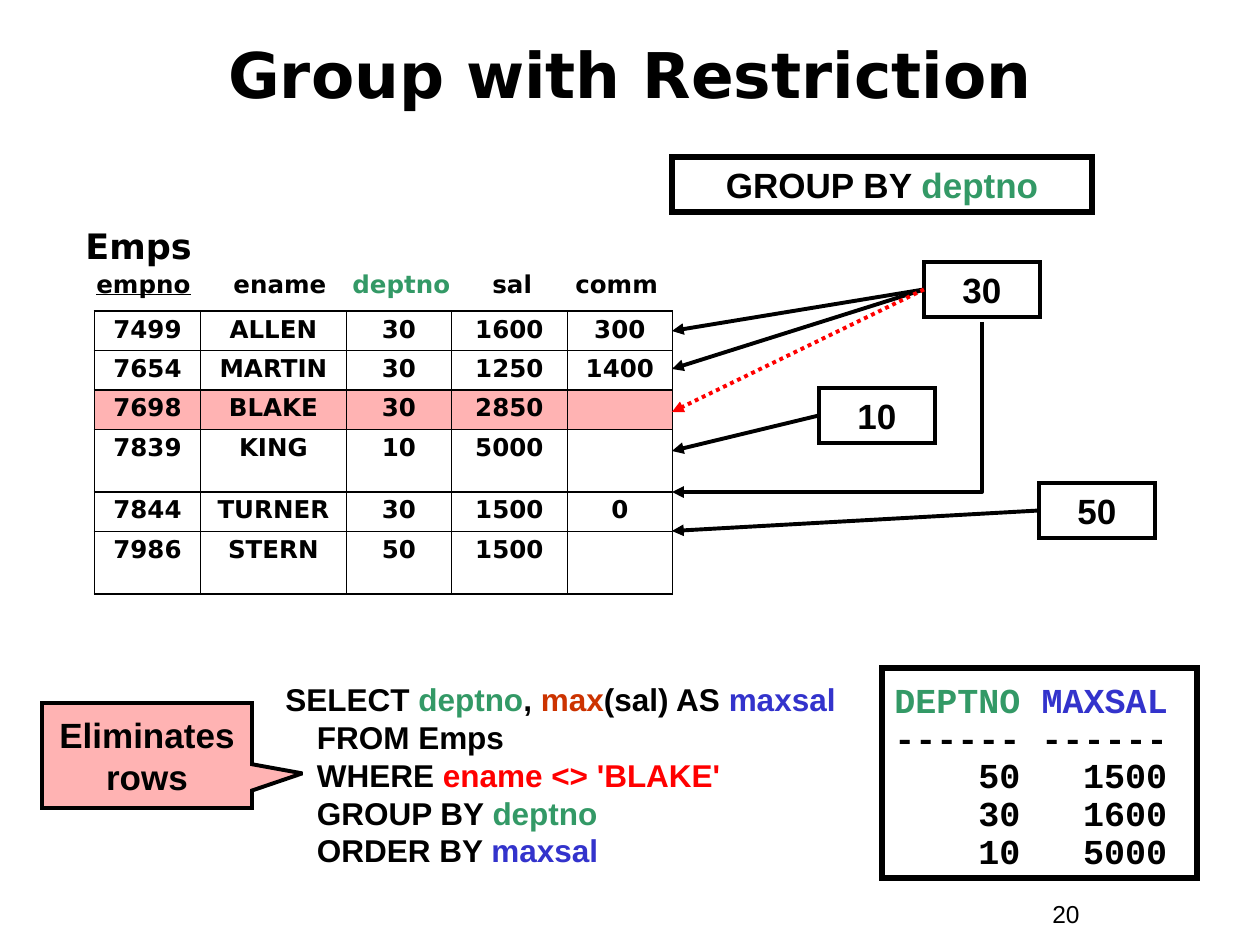
from lxml import etree
from pptx import Presentation
from pptx.dml.color import RGBColor
from pptx.enum.dml import MSO_LINE
from pptx.enum.shapes import MSO_CONNECTOR, MSO_SHAPE
from pptx.enum.text import MSO_ANCHOR, MSO_AUTO_SIZE, PP_ALIGN
from pptx.oxml.ns import qn
from pptx.util import Pt

BLACK = RGBColor(0x00, 0x00, 0x00)
GREEN = RGBColor(0x33, 0x99, 0x66)
BLUE = RGBColor(0x33, 0x33, 0xCC)
RUST = RGBColor(0xCC, 0x33, 0x00)
RED = RGBColor(0xFF, 0x00, 0x00)
PINK = RGBColor(0xFF, 0xB3, 0xB3)

LEFT, CENTER = PP_ALIGN.LEFT, PP_ALIGN.CENTER
TOP, MIDDLE = MSO_ANCHOR.TOP, MSO_ANCHOR.MIDDLE
RECT, CALLOUT = MSO_SHAPE.RECTANGLE, MSO_SHAPE.RECTANGULAR_CALLOUT
STRAIGHT, ELBOW = MSO_CONNECTOR.STRAIGHT, MSO_CONNECTOR.ELBOW
DOTS = MSO_LINE.ROUND_DOT
WIDE = "DejaVu Sans"
SCALE = 914400 / 126


def emu(*px):
    return [round(n * SCALE) for n in px]


def write(frame, paras, size=20, font="Arial", color=BLACK, bold=True,
          align=LEFT, anchor=TOP, space=1.0, hang=0, tabs=()):
    """Fill a frame; a paragraph is a string or a list of (text, color),
    optionally (text, color, underlined). A newline is a line break."""
    frame.word_wrap = True
    frame.auto_size = MSO_AUTO_SIZE.NONE
    frame.vertical_anchor = anchor
    for i, runs in enumerate(paras):
        para = frame.add_paragraph() if i else frame.paragraphs[0]
        para.alignment = align
        para.line_spacing = space
        props = para._p.get_or_add_pPr()
        if hang:
            indent, = emu(hang)
            props.set("marL", str(indent))
            props.set("indent", str(-indent))
        if tabs:
            stops = etree.SubElement(props, qn("a:tabLst"))
            for pos, side in tabs:
                etree.SubElement(stops, qn("a:tab"), pos=str(emu(pos)[0]), algn=side)
        if isinstance(runs, str):
            runs = [(runs, color)]
        for text, tint, *under in runs:
            for j, part in enumerate(text.split("\n")):
                if j:
                    para.add_line_break()
                if part:
                    run = para.add_run()
                    run.text = part
                    run.font.size, run.font.name = Pt(size), font
                    run.font.bold = bold
                    run.font.color.rgb = tint
                    if under:
                        run.font.underline = True


class Board:
    """Holds the line style and the current slide."""

    def __init__(self, slide, weight=2.25):
        self.slide, self.shapes = slide, slide.shapes
        self.weight = weight

    def title(self, text, *area):
        head = self.shapes.title
        head.left, head.top, head.width, head.height = emu(*area)
        write(head.text_frame, [text], size=36, font=WIDE, align=CENTER, anchor=MIDDLE)

    def text(self, area, paras, **style):
        write(self.shapes.add_textbox(*emu(*area)).text_frame, paras, **style)

    def box(self, area, paras, kind=RECT, fill=None, weight=None, inset=6, **style):
        shape = self.shapes.add_shape(kind, *emu(*area))
        shape.shadow.inherit = False
        if fill is None:
            shape.fill.background()
        else:
            shape.fill.solid()
            shape.fill.fore_color.rgb = fill
        shape.line.color.rgb = BLACK
        shape.line.width = Pt(weight or self.weight)
        etree.SubElement(shape.line._get_or_add_ln(), qn("a:miter"), lim="800000")
        shape.text_frame.margin_top, = emu(inset)
        write(shape.text_frame, paras, **style)
        return shape

    def arrow(self, start, end, kind=STRAIGHT, color=BLACK):
        line = self.shapes.add_connector(kind, *emu(*start, *end))
        line.line.color.rgb = color
        line.line.width = Pt(self.weight)
        etree.SubElement(line.line._get_or_add_ln(), qn("a:tailEnd"), type="triangle")
        etree.SubElement(line._element.spPr, qn("a:effectLst"))
        return line

    def bend(self, start, end):
        """Draw an arrow that runs down, then left, as a quarter-turned elbow."""
        (x0, y0), (x1, y1) = start, end
        midx, midy = (x0 + x1) / 2, (y0 + y1) / 2
        wide, high = (y1 - y0) / 2, (x0 - x1) / 2
        line = self.arrow((midx - wide, midy - high), (midx + wide, midy + high), ELBOW)
        props = line._element.spPr
        props.find(qn("a:xfrm")).set("rot", "5400000")
        props.find(qn("a:prstGeom")).set("prst", "bentConnector2")

    def table(self, left, top, cols, highs, rows, mark):
        """Draw a bordered grid; the row numbered mark is tinted."""
        frame = self.shapes.add_table(len(rows), len(cols),
                                      *emu(left, top, sum(cols), sum(highs)))
        grid = frame.table
        grid.first_row = grid.horz_banding = False
        for col, wide in zip(grid.columns, cols):
            col.width, = emu(wide)
        for i, (row, high) in enumerate(zip(rows, highs)):
            grid.rows[i].height, = emu(high)
            for j, value in enumerate(row):
                cell = grid.cell(i, j)
                write(cell.text_frame, [value], size=14, font=WIDE, align=CENTER, space=0.9)
                if not value:
                    etree.SubElement(cell.text_frame.paragraphs[0]._p,
                                     qn("a:endParaRPr"), sz="1200")
                self.border(cell)
                if i == mark:
                    cell.fill.solid()
                    cell.fill.fore_color.rgb = PINK
                else:
                    cell.fill.background()

    def border(self, cell):
        props = cell._tc.get_or_add_tcPr()
        for side in ("lnL", "lnR", "lnT", "lnB"):
            edge = etree.SubElement(props, qn(f"a:{side}"), w=str(Pt(1.08)))
            fill = etree.SubElement(edge, qn("a:solidFill"))
            etree.SubElement(fill, qn("a:srgbClr"), val=str(BLACK))


def main():
    deck = Presentation()
    deck.slide_width, deck.slide_height = emu(1260, 945)
    board = Board(deck.slides.add_slide(deck.slide_layouts[5]))
    board.title("Group with Restriction", 42, 21, 1176, 105)

    board.text((73, 218, 294, 55), ["Emps"], font=WIDE)
    heads = [("empno", BLACK, True), ("\tename\t", BLACK), ("deptno", GREEN),
             ("\tsal\tcomm", BLACK)]
    board.text((84, 263, 598, 43), [heads], size=14, font=WIDE,
               tabs=[(137, "l"), (256, "l"), (396, "l"), (479, "l")])
    low, tall = 39.5, 62.5
    board.table(94.5, 311, [106, 146, 105, 116, 105],
                [low, low, low, tall, low, tall],
                [("7499", "ALLEN", "30", "1600", "300"),
                 ("7654", "MARTIN", "30", "1250", "1400"),
                 ("7698", "BLAKE", "30", "2850", ""),
                 ("7839", "KING", "10", "5000", ""),
                 ("7844", "TURNER", "30", "1500", "0"),
                 ("7986", "STERN", "50", "1500", "")], mark=2)

    edge = 672
    for dept, left, top, ends in (("10", 819, 388, [(451, BLACK)]),
                                  ("30", 924, 262, [(331, BLACK), (369, BLACK), (412, RED)]),
                                  ("50", 1039, 483, [(531, BLACK)])):
        group = board.box((left, top, 116, 55), [dept], align=CENTER, anchor=MIDDLE)
        for y, color in ends:
            line = board.arrow((left, top + 28), (edge, y), color=color)
            line.begin_connect(group, 1)
            if color == RED:
                line.line.dash_style = DOTS
    board.bend((982, 322), (edge, 492))

    board.box((672, 157, 420, 55), [[("GROUP BY ", BLACK), ("deptno", GREEN)]],
              weight=3, align=CENTER, anchor=MIDDLE)
    query = [("SELECT ", BLACK), ("deptno", GREEN), (", ", BLACK), ("max", RUST),
             ("(sal) AS ", BLACK), ("maxsal\n", BLUE), ("FROM Emps\nWHERE ", BLACK),
             ("ename <> 'BLAKE'\n", RED), ("GROUP BY ", BLACK), ("deptno\n", GREEN),
             ("ORDER BY ", BLACK), ("maxsal", BLUE)]
    board.text((273, 674, 609, 240), [query], size=18, hang=31.5)
    board.box((882, 668, 315, 210),
              [[("DEPTNO ", GREEN), ("MAXSAL", BLUE)], "------ ------",
               "\t50\t1500", "\t30\t1600", "\t10\t5000"],
              weight=3, inset=15, font="Courier New", space=0.9,
              tabs=[(126, "r"), (273, "r")])
    note = board.box((42, 703, 210, 105), ["Eliminates\nrows"], kind=CALLOUT, fill=PINK,
                     align=CENTER, anchor=MIDDLE)
    note.adjustments[0], note.adjustments[1] = 0.74, 0.17
    board.text((1040, 893, 116, 43), ["20"], size=14, bold=False)
    deck.save("out.pptx")


if __name__ == "__main__":
    main()
